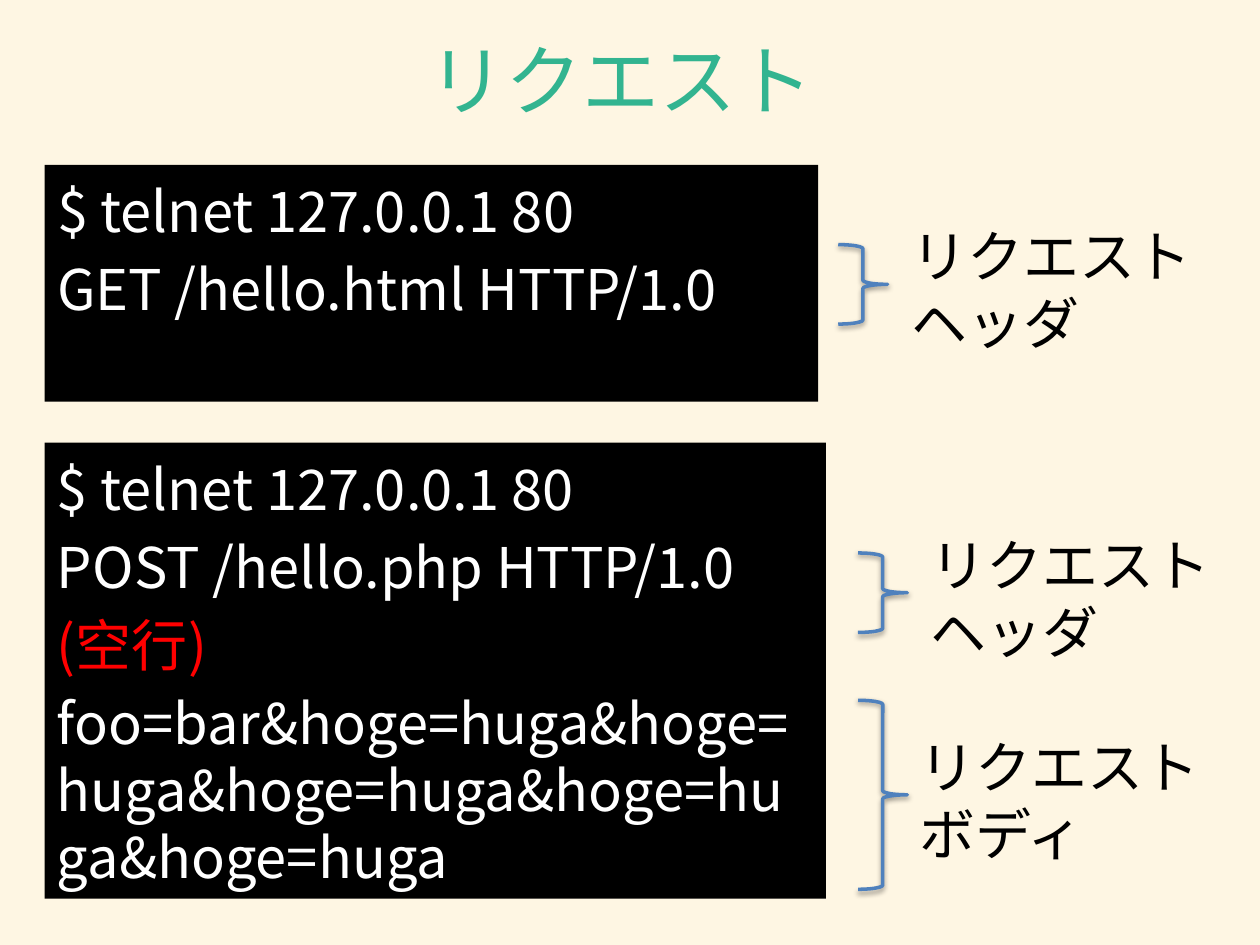
from lxml import etree
from pptx import Presentation
from pptx.dml.color import RGBColor
from pptx.enum.shapes import MSO_SHAPE
from pptx.enum.text import MSO_ANCHOR, PP_ALIGN
from pptx.oxml import parse_xml
from pptx.oxml.ns import nsdecls, qn
from pptx.util import Pt

RECTANGLE, BRACE = MSO_SHAPE.RECTANGLE, MSO_SHAPE.RIGHT_BRACE
TOP, MIDDLE = MSO_ANCHOR.TOP, MSO_ANCHOR.MIDDLE
LEFT, CENTER = PP_ALIGN.LEFT, PP_ALIGN.CENTER
COLORS = {
    "background": "FEF6E3", "title": "32B490", "terminal": "000000",
    "command": "FFFFFF", "blank": "FF0000", "label": "000000", "brace": "4F81BD",
}
FONT = "Noto Sans CJK JP"
TEXT_SIZE = 32
LINE_PITCH = 38.2
SHADOW = (
    f'<a:effectLst {nsdecls("a")}><a:outerShdw blurRad="{Pt(3.1)}" dist="{Pt(1.6)}"'
    ' dir="5400000" rotWithShape="0"><a:srgbClr val="000000">'
    '<a:alpha val="38000"/></a:srgbClr></a:outerShdw></a:effectLst>'
)


def color(name):
    """Return the named palette colour."""
    return RGBColor.from_string(COLORS[name])


def write(shape, lines, size=TEXT_SIZE, align=LEFT, anchor=TOP, pitch=LINE_PITCH):
    """Fill a shape with (text, colour name) paragraphs."""
    frame = shape.text_frame
    frame.word_wrap = True
    frame.vertical_anchor = anchor
    frame.text = "\n".join(text for text, _ in lines)
    if pitch:
        frame.margin_top = Pt(7)
    for index, (paragraph, (_, name)) in enumerate(zip(frame.paragraphs, lines)):
        paragraph.alignment = align
        if pitch:
            paragraph.line_spacing = Pt(pitch)
        if index:
            paragraph.space_before = Pt(size * 0.2)
        for run in paragraph.runs:
            run.font.name = FONT
            run.font.size = Pt(size)
            run.font.color.rgb = color(name)
            properties = run.font._element
            etree.SubElement(properties, qn("a:ea")).set("typeface", FONT)


def add_title(slide, box, text):
    """Place the centred slide title."""
    shape = slide.shapes.add_textbox(*map(Pt, box))
    write(shape, [(text, "title")], 44, CENTER, MIDDLE, None)


def add_terminal(slide, box, lines):
    """Place a black terminal panel with its lines."""
    shape = slide.shapes.add_shape(RECTANGLE, *map(Pt, box))
    shape.shadow.inherit = False
    shape.fill.solid()
    shape.fill.fore_color.rgb = color("terminal")
    shape.line.fill.background()
    write(shape, lines)


def add_annotation(slide, box, text, label_offset):
    """Place a brace in the box and its label beside the brace's middle."""
    left, top, width, height = box
    brace = slide.shapes.add_shape(BRACE, *map(Pt, box))
    brace.fill.background()
    brace.line.color.rgb = color("brace")
    brace.line.width = Pt(2)
    brace._element.spPr.append(parse_xml(SHADOW))
    label_height = 85
    label_top = top + (height - label_height) / 2
    label = slide.shapes.add_textbox(
        Pt(left + label_offset), Pt(label_top), Pt(190), Pt(label_height))
    write(label, [(text, "label")])


def main():
    """Build the slide on HTTP requests."""
    presentation = Presentation()
    presentation.slide_width, presentation.slide_height = Pt(720), Pt(540)
    slide = presentation.slides.add_slide(presentation.slide_layouts[6])
    slide.background.fill.solid()
    slide.background.fill.fore_color.rgb = color("background")

    add_title(slide, (31, 0, 648, 90), "リクエスト")
    connect = ("$ telnet 127.0.0.1 80", "command")
    add_terminal(slide, (25.5, 94.3, 442, 135.2),
                 [connect, ("GET /hello.html HTTP/1.0", "command")])
    add_terminal(slide, (25.5, 253, 446.5, 260.6), [
        connect,
        ("POST /hello.php HTTP/1.0", "command"),
        ("(空行)", "blank"),
        ("foo=bar&hoge=huga&hoge=huga&hoge=huga&hoge=huga&hoge=huga", "command"),
    ])
    add_annotation(slide, (479, 139.8, 28.2, 45.4), "リクエストヘッダ", 34.5)
    add_annotation(slide, (490.3, 316, 28.2, 45.4), "リクエストヘッダ", 34.5)
    add_annotation(slide, (490.3, 400.2, 28.2, 108), "リクエストボディ", 28.2)
    presentation.save("out.pptx")


if __name__ == "__main__":
    main()
